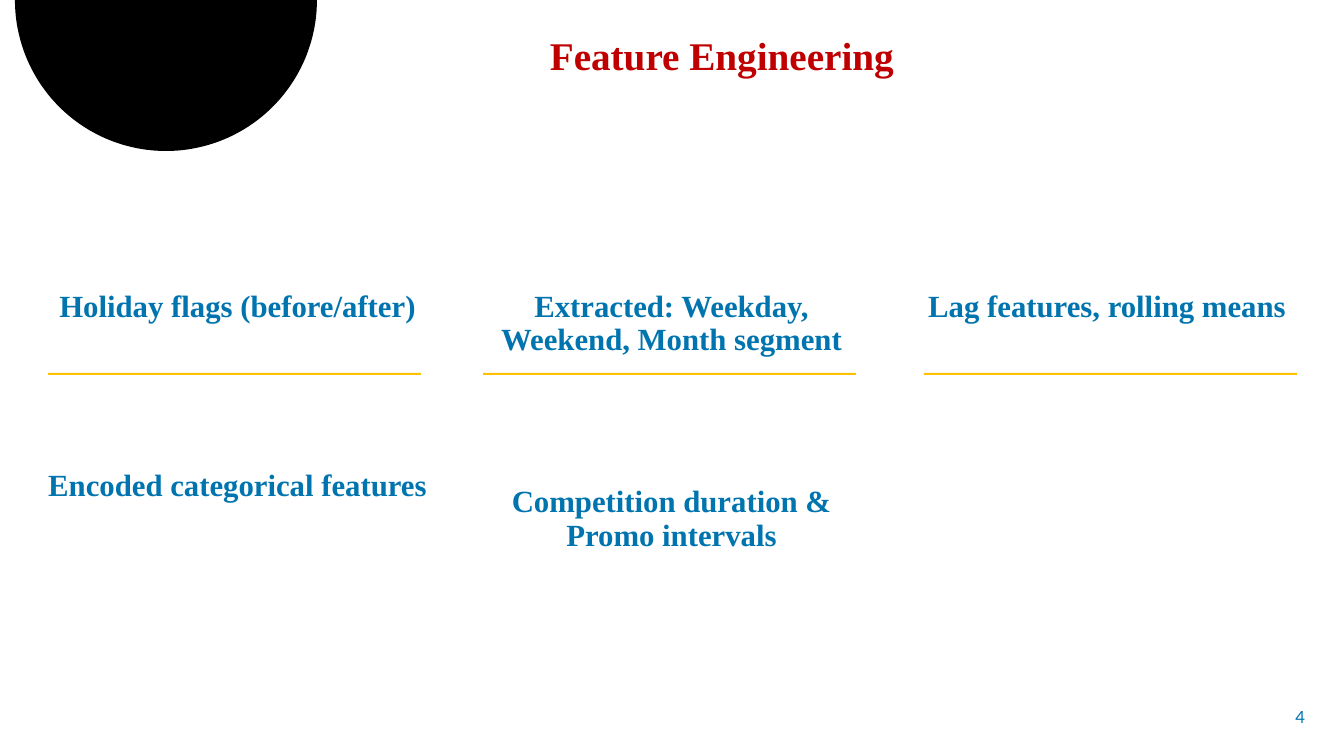
from dataclasses import dataclass
from math import cos, pi, sin

from pptx import Presentation
from pptx.dml.color import RGBColor
from pptx.enum.shapes import MSO_SHAPE as Preset
from pptx.enum.text import MSO_ANCHOR as Anchor, PP_ALIGN as Align
from pptx.shapes.autoshape import Shape
from pptx.slide import Slide
from pptx.util import Emu, Pt

EMU_PER_PX = 914400 / 100.8
SLIDE_WIDTH, SLIDE_HEIGHT = 1344, 756

BLACK = RGBColor(0x00, 0x00, 0x00)
BLUE = RGBColor(0x00, 0x74, 0xAF)
RED = RGBColor(0xC0, 0x00, 0x00)
GOLD = RGBColor(0xFF, 0xC0, 0x00)

SERIF = "Times New Roman"
SANS = "Lato"

COLUMN_TOP = 286
RULE_TOP, RULE_WIDTH, RULE_HEIGHT = 373, 373, 2


@dataclass(frozen=True)
class Box:
    left: int
    top: int
    width: int
    height: int


@dataclass(frozen=True)
class FeatureColumn:
    left: int
    width: int
    height: int
    rule_left: int
    features: tuple[str, ...]
    gap: int = 0


COLUMNS = (
    FeatureColumn(33, 409, 224, 48,
                  ("Holiday flags (before/after)", "Encoded categorical features"), 104),
    FeatureColumn(460, 423, 277, 483,
                  ("Extracted: Weekday, Weekend, Month segment",
                   "Competition duration & Promo intervals"), 92),
    FeatureColumn(899, 416, 43, 924, ("Lag features, rolling means",)),
)


def px(length: float) -> Emu:
    return Emu(round(length * EMU_PER_PX))


def paint(shape: Shape, color: RGBColor) -> None:
    shape.shadow.inherit = False
    shape.fill.solid()
    shape.fill.fore_color.rgb = color
    shape.line.fill.background()


def add_text(slide: Slide, box: Box, *texts: str, size: int, color: RGBColor,
             font: str = SERIF, bold: bool = True, align: Align = Align.LEFT,
             anchor: Anchor = Anchor.TOP, line_spacing: float = 0.9, gap: int = 0) -> None:
    text_box = slide.shapes.add_textbox(px(box.left), px(box.top), px(box.width), px(box.height))
    frame = text_box.text_frame
    frame.word_wrap = True
    frame.vertical_anchor = anchor
    for index, text in enumerate(texts):
        paragraph = frame.add_paragraph() if index else frame.paragraphs[0]
        paragraph.alignment = align
        paragraph.line_spacing = line_spacing
        paragraph.space_before = Pt(gap if index else 0)
        run = paragraph.add_run()
        run.text = text
        run.font.name = font
        run.font.size = Pt(size)
        run.font.bold = bold
        run.font.color.rgb = color


def add_half_disc(slide: Slide, center: int, radius: int, steps: int = 120) -> None:
    arc = [(px(center + radius * cos(pi * step / steps)), px(radius * sin(pi * step / steps)))
           for step in range(steps + 1)]
    builder = slide.shapes.build_freeform(*arc[0])
    builder.add_line_segments(arc[1:], close=True)
    paint(builder.convert_to_shape(), BLACK)


def add_column(slide: Slide, column: FeatureColumn) -> None:
    box = Box(column.left, COLUMN_TOP, column.width, column.height)
    add_text(slide, box, *column.features, size=22, color=BLUE,
             align=Align.CENTER, gap=column.gap)
    rule = slide.shapes.add_shape(Preset.RECTANGLE, px(column.rule_left), px(RULE_TOP),
                                  px(RULE_WIDTH), px(RULE_HEIGHT))
    paint(rule, GOLD)


def main() -> None:
    presentation = Presentation()
    presentation.slide_width = px(SLIDE_WIDTH)
    presentation.slide_height = px(SLIDE_HEIGHT)
    slide = presentation.slides.add_slide(presentation.slide_layouts[6])

    add_half_disc(slide, center=166, radius=151)
    add_text(slide, Box(540, 32, 780, 53), "Feature Engineering", size=28, color=RED)
    for column in COLUMNS:
        add_column(slide, column)
    add_text(slide, Box(1260, 697, 55, 40), "4", size=12, color=BLUE, font=SANS, bold=False,
             align=Align.RIGHT, anchor=Anchor.MIDDLE, line_spacing=1.0)

    presentation.save("out.pptx")


if __name__ == "__main__":
    main()
